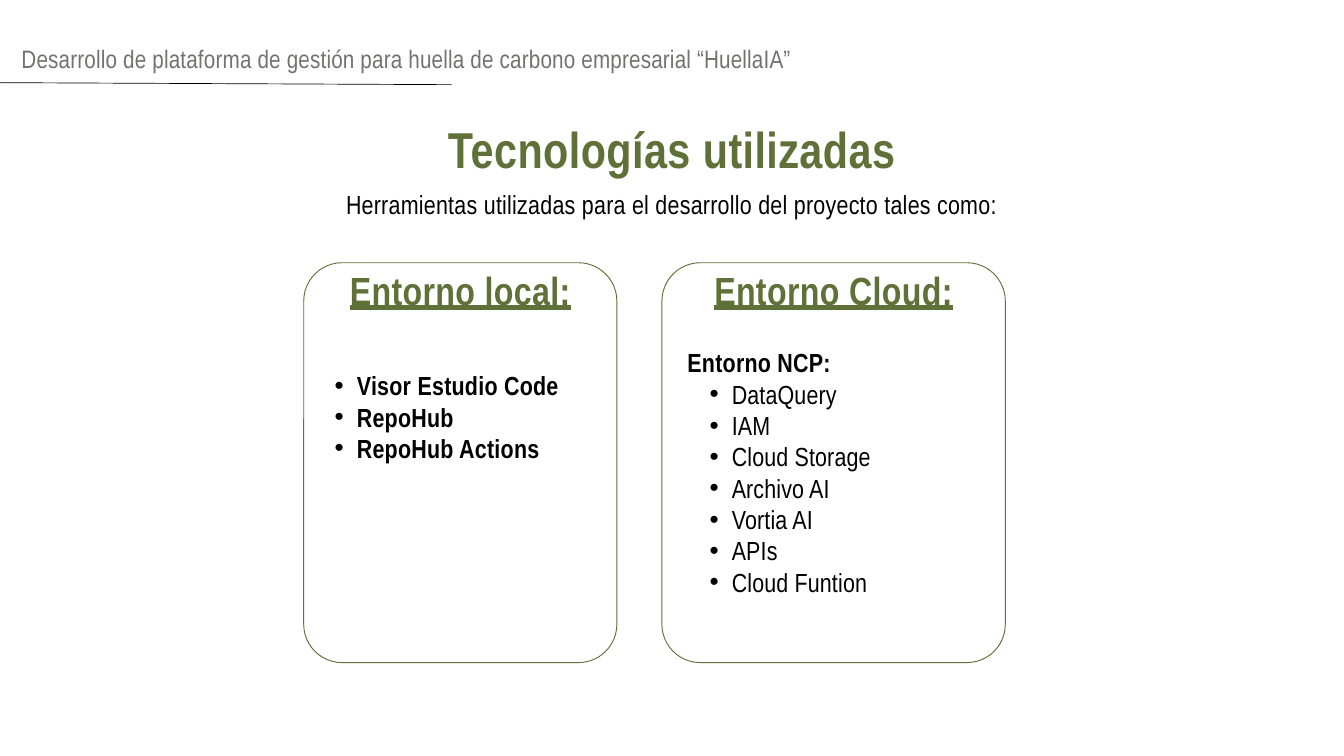
from lxml import etree
from pptx import Presentation
from pptx.dml.color import RGBColor
from pptx.enum.shapes import MSO_CONNECTOR, MSO_SHAPE
from pptx.enum.text import MSO_ANCHOR, MSO_AUTO_SIZE, PP_ALIGN
from pptx.oxml.ns import qn
from pptx.util import Inches, Pt

LEFT, CENTER = PP_ALIGN.LEFT, PP_ALIGN.CENTER
FONT = "Arial Narrow"
GREEN = RGBColor(0x5F, 0x71, 0x38)
GRAY = RGBColor(0x76, 0x71, 0x71)
BLACK = RGBColor(0, 0, 0)

HEADER = "Desarrollo de plataforma de gestión para huella de carbono empresarial “HuellaIA”"
TITLE = "Tecnologías utilizadas"
INTRO = "Herramientas utilizadas para el desarrollo del proyecto tales como:"
CARD_TOP, CARD_HEIGHT, CORNER = 3.91, 5.95, 0.57
CARDS = [
    {"heading": "Entorno local:", "left": 4.52, "width": 4.66,
     "list_at": (4.65, 5.5, 4.4, 1.39), "group": None, "bold_items": True,
     "items": ["Visor Estudio Code", "RepoHub", "RepoHub Actions"]},
    {"heading": "Entorno Cloud:", "left": 9.85, "width": 5.11,
     "list_at": (10.23, 5.16, 4.6, 3.74), "group": "Entorno NCP:", "bold_items": False,
     "items": ["DataQuery", "IAM", "Cloud Storage", "Archivo AI", "Vortia AI",
               "APIs", "Cloud Funtion"]},
]


def place(shape, at):
    shape.left, shape.top, shape.width, shape.height = map(Inches, at)
    frame = shape.text_frame
    frame.word_wrap = True
    frame.auto_size = MSO_AUTO_SIZE.NONE
    frame.vertical_anchor = MSO_ANCHOR.TOP
    frame.margin_left = frame.margin_right = frame.margin_top = frame.margin_bottom = 0
    return frame


def write(paragraph, text, size, color, align=LEFT, bold=False, underline=False,
          spacing=0.3):
    paragraph.alignment = align
    paragraph.line_spacing = Pt(size * 1.2)
    paragraph.space_before = paragraph.space_after = Pt(0)
    run = paragraph.add_run()
    run.text = text
    font = run.font
    font.name, font.size, font.bold, font.underline = FONT, Pt(size), bold, underline
    font.color.rgb = color
    run._r.get_or_add_rPr().set("spc", str(round(spacing * 100)))


def set_bullet(paragraph, char=None):
    """Indent and bullet the paragraph, or clear both when there is no char."""
    props = paragraph._p.get_or_add_pPr()
    props.set("marL", str(Inches(0.66 if char else 0)))
    props.set("indent", str(Inches(-0.33 if char else 0)))
    if char:
        etree.SubElement(props, qn("a:buFont")).set("typeface", "Arial")
        etree.SubElement(props, qn("a:buChar")).set("char", char)
    else:
        etree.SubElement(props, qn("a:buNone"))


def add_text(slide, at, text, size, color, **style):
    frame = place(slide.shapes.add_textbox(0, 0, 0, 0), at)
    write(frame.paragraphs[0], text, size, color, **style)


def add_header_rule(slide):
    rule = slide.shapes.add_connector(
        MSO_CONNECTOR.STRAIGHT, Inches(-0.01), Inches(1.23), Inches(6.72), Inches(1.26))
    rule.line.color.rgb = BLACK
    rule.line.width = Pt(0.75)
    etree.SubElement(rule._element.spPr, qn("a:effectLst"))


def add_card(slide, card, body):
    left, width = card["left"], card["width"]
    outline = slide.shapes.add_shape(
        MSO_SHAPE.ROUNDED_RECTANGLE,
        *map(Inches, (left, CARD_TOP, width, CARD_HEIGHT)))
    outline.adjustments[0] = CORNER / width
    outline.shadow.inherit = False
    outline.fill.background()
    outline.line.color.rgb = GREEN
    outline.line.width = Pt(1)
    add_text(slide, (left, CARD_TOP + 0.05, width, 0.7), card["heading"], 42, GREEN,
             align=CENTER, bold=True, underline=True, spacing=0.4)

    frame = place(body, card["list_at"])
    lines = [(item, card["bold_items"], "•") for item in card["items"]]
    if card["group"]:
        lines.insert(0, (card["group"], True, None))
    for index, (text, bold, bullet) in enumerate(lines):
        paragraph = frame.add_paragraph() if index else frame.paragraphs[0]
        write(paragraph, text, 28, BLACK, bold=bold, spacing=0.3 if bold else 0.2)
        set_bullet(paragraph, bullet)


def main():
    deck = Presentation()
    deck.slide_width, deck.slide_height = Inches(20), Inches(11.25)
    slide = deck.slides.add_slide(deck.slide_layouts.get_by_name("Two Content"))
    title, *bodies = slide.placeholders

    add_text(slide, (0.32, 0.64, 19.36, 0.46), HEADER, 27, GRAY, spacing=0.2)
    add_header_rule(slide)
    write(place(title, (0.1, 1.75, 19.8, 0.9)).paragraphs[0], TITLE, 54, GREEN,
          align=CENTER, bold=True, spacing=0.5)
    add_text(slide, (0.64, 2.8, 18.72, 0.47), INTRO, 28, BLACK, align=CENTER)
    for card, body in zip(CARDS, bodies):
        add_card(slide, card, body)
    deck.save("out.pptx")


if __name__ == "__main__":
    main()
